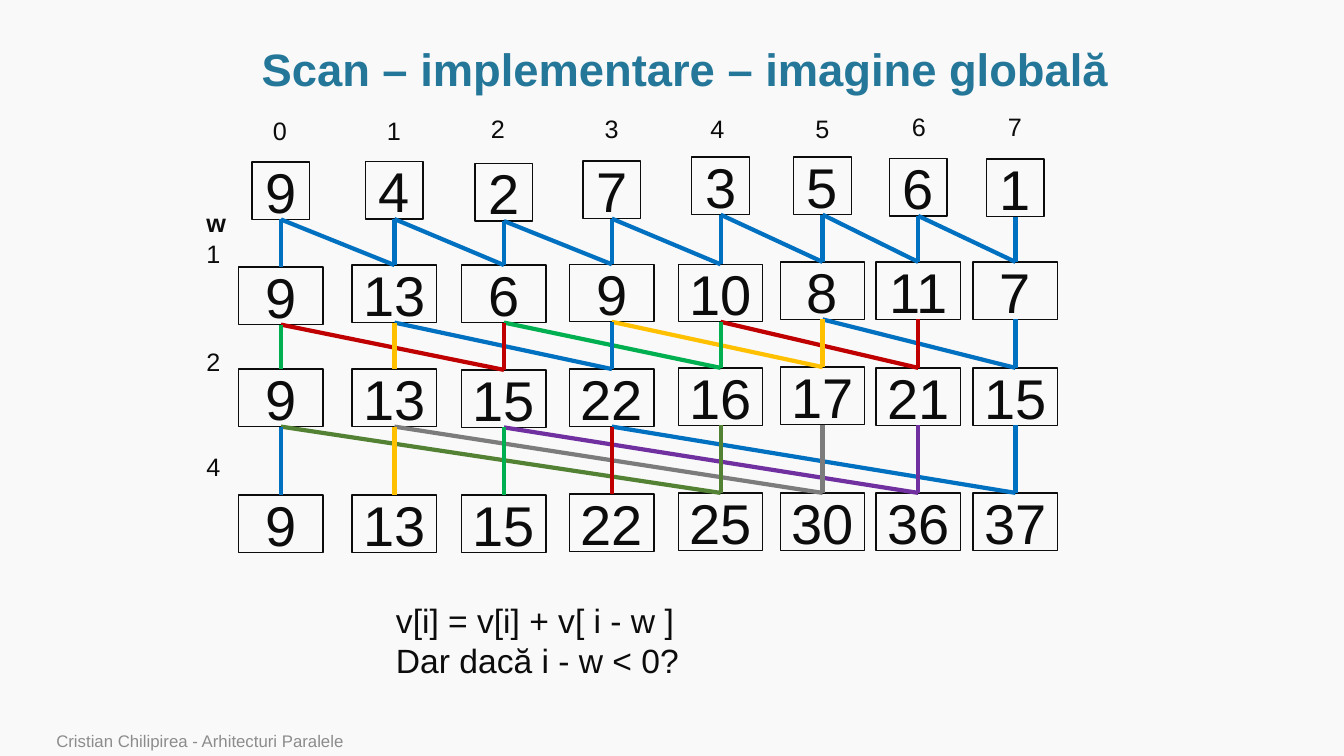
from dataclasses import dataclass

from lxml import etree
from pptx import Presentation
from pptx.dml.color import RGBColor
from pptx.enum.shapes import MSO_CONNECTOR, MSO_SHAPE
from pptx.enum.text import MSO_ANCHOR, PP_ALIGN
from pptx.oxml.ns import qn
from pptx.util import Cm, Pt

RECT, STRAIGHT = MSO_SHAPE.RECTANGLE, MSO_CONNECTOR.STRAIGHT
TOP, MIDDLE, BOTTOM = MSO_ANCHOR.TOP, MSO_ANCHOR.MIDDLE, MSO_ANCHOR.BOTTOM
LEFT, CENTER = PP_ALIGN.LEFT, PP_ALIGN.CENTER


@dataclass(frozen=True)
class Theme:
    """Colours, font and type sizes of the slide."""
    font: str = "Arial"
    back: str = "F9F9F9"
    title: str = "247798"
    ink: str = "0C0C0C"
    muted: str = "8C8C8C"
    blue: str = "0070C0"
    red: str = "C00000"
    green: str = "00B050"
    yellow: str = "FFC000"
    olive: str = "548235"
    gray: str = "7C7C7C"
    purple: str = "7030A0"
    title_size: float = 32.4
    cell_size: float = 40
    formula_size: float = 24
    label_size: float = 18
    footer_size: float = 12


T = Theme()

START = [9, 4, 2, 7, 3, 5, 6, 1]
CENTRES = [2.18, 5.04, 7.8, 10.52, 13.26, 15.83, 18.24, 20.69]
INDEX_CENTRES = [2.16, 5.03, 7.65, 10.52, 13.18, 15.83, 18.26, 20.68]
INDEX_TOPS = [0.1, 0.08, 0.03, 0.03, 0.05, 0.05, 0, 0]
ROW_TOPS = [
    [1.39, 1.38, 1.43, 1.37, 1.27, 1.27, 1.3, 1.32],
    [4.04, 3.99, 3.99, 3.97, 3.97, 3.91, 3.91, 3.91],
    [6.61, 6.61, 6.63, 6.61, 6.58, 6.56, 6.58, 6.58],
    [9.78, 9.78, 9.78, 9.76, 9.73, 9.73, 9.73, 9.73],
]
STEPS = [
    (1, [T.blue] * 8),
    (2, [T.green, T.yellow, T.red, T.blue] * 2),
    (4, [T.blue, T.yellow, T.green, T.red, T.olive, T.gray, T.purple, T.blue]),
]
CELL_H, START_W, CELL_W = 1.45, 1.45, 2.13
LABEL_W, LABEL_H = 0.86, 1.02
STEP_X = 0.48
STEP_LABELS = [("w", 2.42), ("1", 3.2), ("2", 5.9), ("4", 8.56)]


def style(p, size, color, bold=False, align=LEFT):
    """Format one paragraph."""
    p.alignment = align
    p.font.name = T.font
    p.font.size = Pt(size)
    p.font.bold = bold
    p.font.color.rgb = RGBColor.from_string(color)


def add_text(s, box, lines, size, color, bold=False, anchor=TOP, wrap=False):
    """Add a text box with one paragraph per line."""
    tf = s.shapes.add_textbox(*map(Cm, box)).text_frame
    tf.word_wrap = wrap
    tf.vertical_anchor = anchor
    tf.text = "\n".join(lines)
    for p in tf.paragraphs:
        style(p, size, color, bold)


def add_label(s, centre, top, text, bold=False):
    """Add a small label around a horizontal centre."""
    box = (centre - LABEL_W / 2, top, LABEL_W, LABEL_H)
    add_text(s, box, [text], T.label_size, T.ink, bold)


def add_cell(s, centre, top, width, value):
    """Add one outlined array cell."""
    box = (centre - width / 2, top, width, CELL_H)
    cell = s.shapes.add_shape(RECT, *map(Cm, box))
    cell.shadow.inherit = False
    cell.fill.background()
    cell.line.color.rgb = RGBColor.from_string(T.ink)
    cell.line.width = Pt(1)
    tf = cell.text_frame
    tf.margin_left = tf.margin_right = tf.margin_top = tf.margin_bottom = 0
    tf.word_wrap = False
    tf.vertical_anchor = MIDDLE
    tf.text = str(value)
    style(tf.paragraphs[0], T.cell_size, T.ink, align=CENTER)


def add_link(s, x1, y1, x2, y2, color):
    """Add one coloured line between two cells."""
    link = s.shapes.add_connector(STRAIGHT, Cm(x1), Cm(y1), Cm(x2), Cm(y2))
    link.line.color.rgb = RGBColor.from_string(color)
    link.line.width = Pt(3)
    etree.SubElement(link._element.spPr, qn("a:effectLst"))


def title(s, box, text):
    """Place and format the slide title."""
    sp = s.shapes.title
    sp.left, sp.top, sp.width, sp.height = map(Cm, box)
    tf = sp.text_frame
    tf.word_wrap = True
    tf.vertical_anchor = MIDDLE
    tf.text = text
    p = tf.paragraphs[0]
    p.line_spacing = 0.9
    style(p, T.title_size, T.title, True, CENTER)


def scan_diagram(s, left, top):
    """Draw the scan steps from the top left corner given."""
    xs = [left + x for x in CENTRES]
    rows = [[top + y for y in tops] for tops in ROW_TOPS]

    for i, (x, y) in enumerate(zip(INDEX_CENTRES, INDEX_TOPS)):
        add_label(s, left + x, top + y, str(i))
    for text, y in STEP_LABELS:
        add_label(s, left + STEP_X, top + y, text, text == "w")

    values = START
    for x, y, value in zip(xs, rows[0], values):
        add_cell(s, x, y, START_W, value)

    for (w, colors), above, below in zip(STEPS, rows, rows[1:]):
        values = [v + (values[i - w] if i >= w else 0) for i, v in enumerate(values)]
        for x, y, value in zip(xs, below, values):
            add_cell(s, x, y, CELL_W, value)
        for i in range(w, len(xs)):
            add_link(s, xs[i - w], above[i - w] + CELL_H, xs[i], below[i], colors[i])
        for x, y1, y2, color in zip(xs, above, below, colors):
            add_link(s, x, y1 + CELL_H, x, y2, color)


def main():
    """Build the slide and save it."""
    prs = Presentation()
    prs.slide_width, prs.slide_height = Cm(33.87), Cm(19.05)
    s = prs.slides.add_slide(prs.slide_layouts[5])
    s.background.fill.solid()
    s.background.fill.fore_color.rgb = RGBColor.from_string(T.back)

    title(s, (5.44, 1.17, 23.65, 1.27), "Scan – implementare – imagine globală")
    scan_diagram(s, 4.9, 2.69)
    add_text(s, (9.73, 14.99, 7.72, 2.31),
             ["v[i] = v[i] + v[ i - w ]", "Dar dacă i - w < 0?"],
             T.formula_size, T.ink)
    add_text(s, (1.17, 18.34, 24.94, 0.71),
             ["Cristian Chilipirea - Arhitecturi Paralele"],
             T.footer_size, T.muted, anchor=BOTTOM, wrap=True)
    prs.save("out.pptx")


if __name__ == "__main__":
    main()
